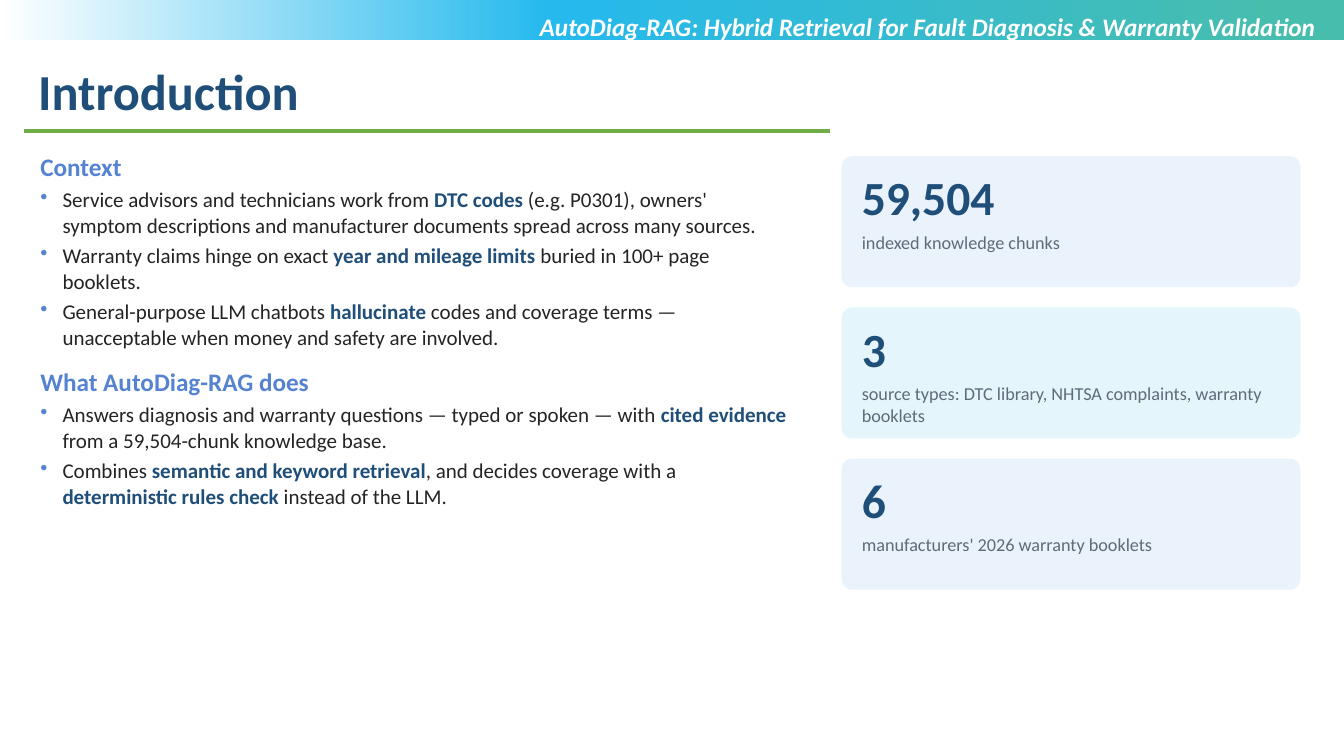
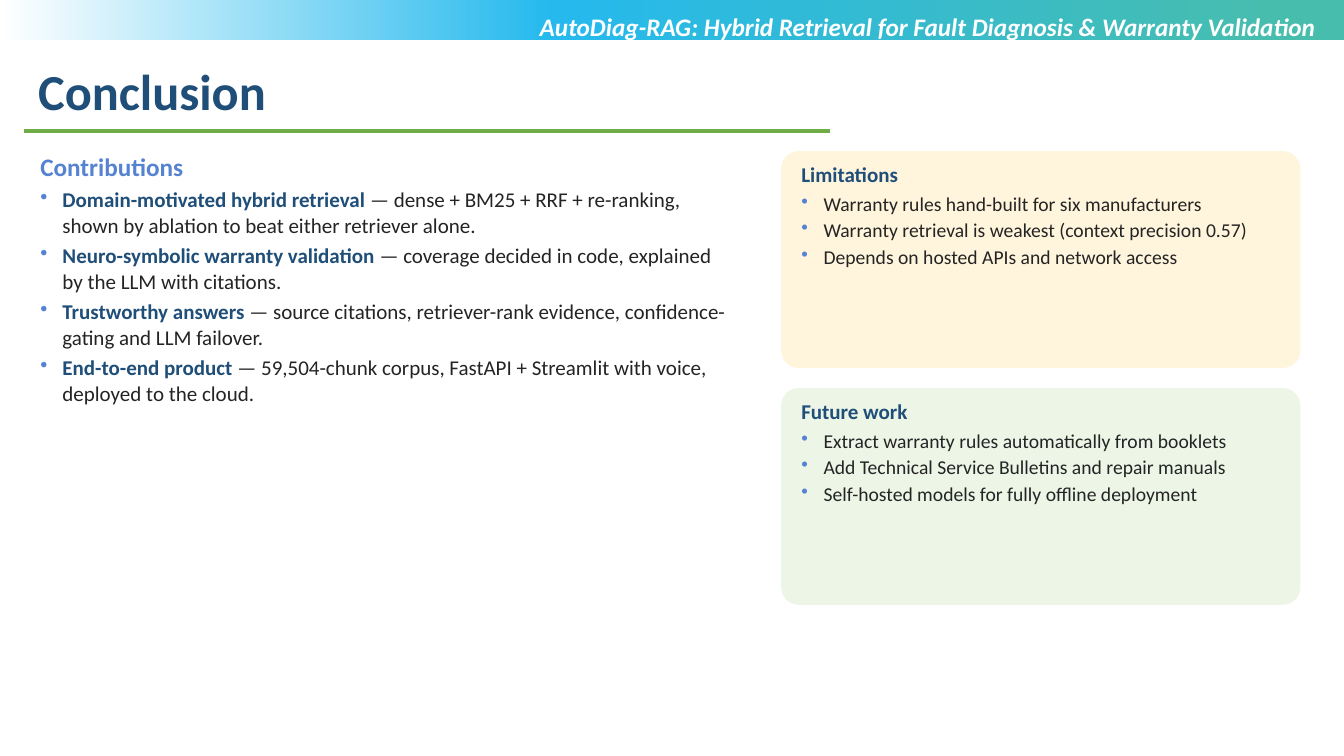
from dataclasses import dataclass

import lxml.etree
import pptx
import pptx.dml.color
import pptx.enum.shapes
import pptx.enum.text
import pptx.oxml
import pptx.oxml.ns
import pptx.util

SHAPE = pptx.enum.shapes.MSO_SHAPE
ALIGN = pptx.enum.text.PP_ALIGN
qn = pptx.oxml.ns.qn

FONT = "Calibri"
NAVY, BLUE, INK, GREY = "1F4E79", "5583D1", "242424", "5F6B7A"
GREEN, WHITE = "70AD47", "FFFFFF"
ICE, AQUA, CREAM, MINT = "EAF2FB", "E4F5FB", "FFF4DC", "ECF5E6"
BAND = [(0, WHITE), (41, "25B9ED"), (95, "47BDAE")]
HEADER = "AutoDiag-RAG: Hybrid Retrieval for Fault Diagnosis & Warranty Validation"

# The grid has ten columns and ten rows to the inch.
CELLS = 10
WIDE, HIGH = 133.33, 75
PAD, GAP = 2, 2


@dataclass
class Box:
    left: float
    top: float
    width: float
    height: float

    def lengths(self) -> list[int]:
        return [grid(n) for n in (self.left, self.top, self.width, self.height)]


@dataclass
class Line:
    """A paragraph; parts between asterisks are bold navy."""
    text: str
    size: float
    color: str = INK
    bold: bool = False
    italic: bool = False
    after: float = 4
    bullet: bool = False
    align: ALIGN = ALIGN.LEFT


@dataclass
class Stat:
    value: str
    label: str
    fill: str


@dataclass
class Card:
    title: str
    points: list[str]
    fill: str


def grid(cells: float) -> int:
    return pptx.util.Inches(cells / CELLS)


def rgb(code: str) -> pptx.dml.color.RGBColor:
    return pptx.dml.color.RGBColor.from_string(code)


def add_bullet(par) -> None:
    props = par._p.get_or_add_pPr()
    props.set("marL", str(grid(2.2)))
    props.set("indent", str(-grid(2.2)))
    tint = lxml.etree.SubElement(props, qn("a:buClr"))
    lxml.etree.SubElement(tint, qn("a:srgbClr"), val=BLUE)
    lxml.etree.SubElement(props, qn("a:buChar"), char="•")


def add_text(slide, box: Box, lines: list[Line], inset: float | None = 0) -> None:
    """Write lines in a box; an inset of None keeps the usual margins."""
    frame = slide.shapes.add_textbox(*box.lengths()).text_frame
    frame.word_wrap = True
    if inset is not None:
        frame.margin_left = frame.margin_right = grid(inset)
        frame.margin_top = frame.margin_bottom = grid(inset)
    for i, line in enumerate(lines):
        par = frame.add_paragraph() if i else frame.paragraphs[0]
        if line.bullet:
            add_bullet(par)
        par.alignment = line.align
        par.space_after = pptx.util.Pt(line.after)
        for j, part in enumerate(line.text.split("*")):
            if not part:
                continue
            strong = j % 2 == 1
            run = par.add_run()
            run.text = part
            font = run.font
            font.name = FONT
            font.size = pptx.util.Pt(line.size)
            font.bold = line.bold or strong
            font.italic = line.italic
            font.color.rgb = rgb(NAVY if strong else line.color)


def add_block(slide, kind: SHAPE, box: Box):
    shape = slide.shapes.add_shape(kind, *box.lengths())
    shape.shadow.inherit = False
    shape.line.fill.background()
    return shape


def add_band(slide) -> None:
    band = add_block(slide, SHAPE.RECTANGLE, Box(0, 0, WIDE, 4))
    band.fill.gradient()
    band.fill.gradient_angle = 0
    stops = band._element.spPr.find(".//" + qn("a:gsLst"))
    for stop in list(stops):
        stops.remove(stop)
    for share, color in BAND:
        stop = lxml.etree.SubElement(stops, qn("a:gs"), pos=str(share * 1000))
        lxml.etree.SubElement(stop, qn("a:srgbClr"), val=color)


def add_rule(slide) -> None:
    rule = slide.shapes.add_connector(
        pptx.enum.shapes.MSO_CONNECTOR.STRAIGHT,
        grid(2.4), grid(13), grid(82.3), grid(13))
    rule.line.color.rgb = rgb(GREEN)
    rule.line.width = pptx.util.Pt(2.25)
    lxml.etree.SubElement(rule._element.spPr, qn("a:effectLst"))


def add_slide(deck, title: str):
    """Start a slide with the band, title, rule and header that all share."""
    slide = deck.slides.add_slide(deck.slide_layouts[6])
    add_band(slide)
    add_text(slide, Box(2.8, 5.5, 116.2, 7.1),
             [Line(title, 36, NAVY, bold=True, after=0)], None)
    add_rule(slide)
    add_text(slide, Box(31, 0.6, 100.5, 7.1),
             [Line(HEADER, 18, WHITE, bold=True, italic=True, after=0,
                   align=ALIGN.RIGHT)], None)
    return slide


def section(title: str, points: list[str], last: float = 4) -> list[Line]:
    """A heading and its bullets, with the space left after the last one."""
    lines = [Line(title, 18, BLUE, bold=True)]
    lines += [Line(point, 15, bullet=True) for point in points]
    lines[-1].after = last
    return lines


def add_body(slide, width: float, lines: list[Line]) -> None:
    add_text(slide, Box(3.5, 14.5, width, 46), lines, 0.5)


def add_panel(slide, first: Box, row: int, fill: str) -> Box:
    """Draw one panel of a stack and return its place."""
    box = Box(first.left, first.top + row * (first.height + GAP),
              first.width, first.height)
    panel = add_block(slide, SHAPE.ROUNDED_RECTANGLE, box)
    panel.adjustments[0] = 0.08
    panel.fill.solid()
    panel.fill.fore_color.rgb = rgb(fill)
    return box


def inner(box: Box, down: float, height: float) -> Box:
    return Box(box.left + PAD, box.top + down, box.width - 3.5, height)


def add_stats(slide, first: Box, stats: list[Stat]) -> None:
    for row, stat in enumerate(stats):
        box = add_panel(slide, first, row, stat.fill)
        add_text(slide, inner(box, 1.2, 6.2), [Line(stat.value, 34, NAVY, bold=True)])
        add_text(slide, inner(box, 7.4, 5), [Line(stat.label, 13, GREY)])


def add_cards(slide, first: Box, cards: list[Card]) -> None:
    for row, card in enumerate(cards):
        box = add_panel(slide, first, row, card.fill)
        lines = [Line(card.title, 15, NAVY, bold=True)]
        lines += [Line(point, 14, after=2, bullet=True) for point in card.points]
        lines[-1].after = 0
        add_text(slide, inner(box, 1, 20), lines)


def add_intro(deck) -> None:
    slide = add_slide(deck, "Introduction")
    context = section("Context", [
        "Service advisors and technicians work from *DTC codes* (e.g. P0301), owners' "
        "symptom descriptions and manufacturer documents spread across many sources.",
        "Warranty claims hinge on exact *year and mileage limits* buried in 100+ page "
        "booklets.",
        "General-purpose LLM chatbots *hallucinate* codes and coverage terms — "
        "unacceptable when money and safety are involved.",
    ], last=12)
    role = section("What AutoDiag-RAG does", [
        "Answers diagnosis and warranty questions — typed or spoken — with "
        "*cited evidence* from a 59,504-chunk knowledge base.",
        "Combines *semantic and keyword retrieval*, and decides coverage with a "
        "*deterministic rules check* instead of the LLM.",
    ])
    add_body(slide, 75.5, context + role)
    add_stats(slide, Box(83.5, 15.5, 45.5, 13), [
        Stat("59,504", "indexed knowledge chunks", ICE),
        Stat("3", "source types: DTC library, NHTSA complaints, warranty booklets", AQUA),
        Stat("6", "manufacturers' 2026 warranty booklets", ICE),
    ])


def add_close(deck) -> None:
    slide = add_slide(deck, "Conclusion")
    add_body(slide, 70, section("Contributions", [
        "*Domain-motivated hybrid retrieval* — dense + BM25 + RRF + re-ranking, "
        "shown by ablation to beat either retriever alone.",
        "*Neuro-symbolic warranty validation* — coverage decided in code, explained "
        "by the LLM with citations.",
        "*Trustworthy answers* — source citations, retriever-rank evidence, "
        "confidence-gating and LLM failover.",
        "*End-to-end product* — 59,504-chunk corpus, FastAPI + Streamlit with voice, "
        "deployed to the cloud.",
    ]))
    add_cards(slide, Box(77.5, 15, 51.5, 21.5), [
        Card("Limitations", [
            "Warranty rules hand-built for six manufacturers",
            "Warranty retrieval is weakest (context precision 0.57)",
            "Depends on hosted APIs and network access",
        ], CREAM),
        Card("Future work", [
            "Extract warranty rules automatically from booklets",
            "Add Technical Service Bulletins and repair manuals",
            "Self-hosted models for fully offline deployment",
        ], MINT),
    ])


def main() -> None:
    deck = pptx.Presentation()
    deck.slide_width, deck.slide_height = grid(WIDE), grid(HIGH)
    add_intro(deck)
    add_close(deck)
    deck.save("out.pptx")


if __name__ == "__main__":
    main()
